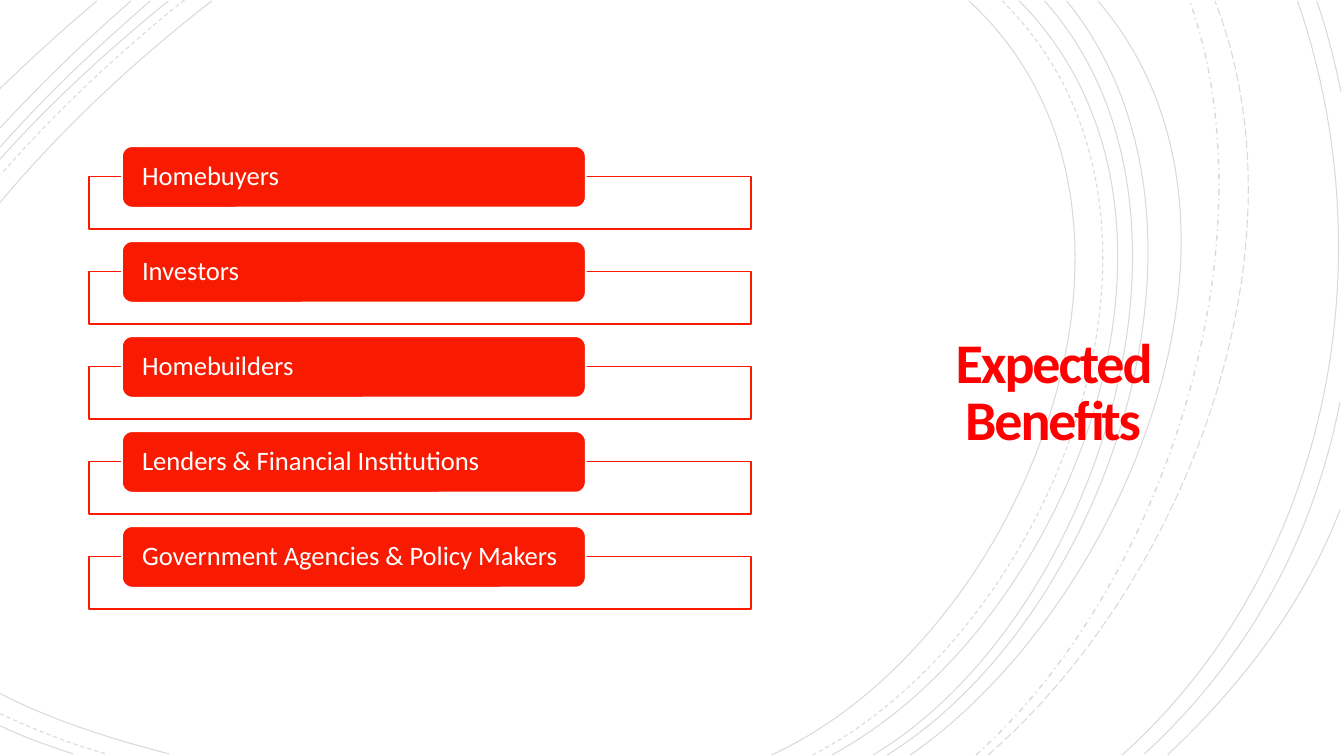
import pptx
import pptx.dml.color
import pptx.enum.dml
import pptx.enum.shapes
import pptx.enum.text
import pptx.oxml
import pptx.oxml.ns
import pptx.util

WIDE, HIGH = 13.33, 7.5
TITLE = "Expected Benefits"
GROUPS = ["Homebuyers", "Investors", "Homebuilders",
          "Lenders & Financial Institutions",
          "Government Agencies & Policy Makers"]
RED, PURE, WHITE, BLACK = "F81B02", "FF0000", "FFFFFF", "000000"
FONT = "Calibri"

# Row grid in inches: the first row's top, the step, then the two parts
TOP, STEP = 1.45, 0.9425
FRAME = dict(left=0.88, drop=0.3, width=6.57, height=0.52)
LABEL = dict(left=1.21, drop=0, width=4.6, height=0.61)

# Curves by dash style: start, two control points, end
CURVES = {
    "SOLID": [
        [(7.65, 7.49), (10.15, 6.35), (11.87, 2.09), (9.61, 0.01)],
        [(0, 6.88), (0.52, 7.15), (1.13, 7.34), (1.68, 7.48)],
        [(2.1, 0.01), (1.34, 0.6), (0.62, 1.27), (0, 2.01)],
        [(8.25, 7.49), (10.61, 6.22), (12.21, 2.13), (10.11, 0.01)],
        [(0, 7.2), (0.23, 7.31), (0.48, 7.4), (0.73, 7.48)],
        [(1.67, 0.01), (1.08, 0.49), (0.51, 1.01), (0, 1.58)],
        [(8.66, 7.49), (10.87, 6.16), (12.21, 2.08), (10.36, 0.01)],
        [(1.49, 0.01), (0.97, 0.46), (0.46, 0.94), (0, 1.46)],
        [(8.8, 7.49), (11, 6.12), (12.33, 2.16), (10.58, 0.01)],
        [(1.3, 0.01), (0.84, 0.41), (0.41, 0.83), (0, 1.27)],
        [(9.03, 7.49), (11.13, 6.03), (12.77, 2.2), (10.89, 0.01)],
        [(0.96, 0.01), (0.63, 0.29), (0.31, 0.58), (0, 0.88)],
        [(11.13, 7.49), (13.19, 5.64), (13.76, 2.59), (12.87, 0.01)],
        [(11.35, 7.48), (12.38, 6.53), (13.02, 5.36), (13.29, 3.99)],
        [(13.3, 0.91), (13.24, 0.61), (13.16, 0.3), (13.06, 0.01)],
        [(11.58, 7.49), (12.31, 6.8), (12.93, 6), (13.29, 5.06)],
    ],
    "DASH": [
        [(8.06, 7.49), (10.46, 6.25), (12.08, 2.12), (9.94, 0.01)],
        [(0, 7.08), (0.34, 7.24), (0.7, 7.38), (1.05, 7.48)],
        [(1.83, 0), (1.18, 0.52), (0.56, 1.1), (0.01, 1.73)],
    ],
    "DASH_DOT": [
        [(9.68, 7.49), (11.54, 5.83), (12.65, 2.41), (11.8, 0.01)],
    ],
    "LONG_DASH": [
        [(9.8, 7.49), (11.73, 5.81), (13.02, 2.51), (12.05, 0.01)],
    ],
}


def inch(*vals):
    """Turn inches into a list of lengths."""
    return [pptx.util.Inches(val) for val in vals]


def tint(text):
    """Make a colour from a hex string."""
    return pptx.dml.color.RGBColor.from_string(text)


def fade(shape, share):
    """Set the opacity, in percent, of the first colour of a shape."""
    color = next(shape.element.iter(pptx.oxml.ns.qn("a:srgbClr")))
    alpha = pptx.oxml.parse_xml(
        "<a:alpha %s/>" % pptx.oxml.ns.nsdecls("a"))
    alpha.set("val", str(share * 1000))
    color.append(alpha)


def edge(shape, color, width):
    """Give a shape its outline and take away its shadow."""
    shape.shadow.inherit = False
    shape.line.color.rgb = tint(color)
    shape.line.width = pptx.util.Pt(width)


def write(shape, text, size, color, align, lead, pad, bold=False, track=0):
    """Put formatted text, centred in height, into a shape."""
    frame = shape.text_frame
    frame.word_wrap = True
    frame.auto_size = pptx.enum.text.MSO_AUTO_SIZE.NONE
    frame.vertical_anchor = pptx.enum.text.MSO_ANCHOR.MIDDLE
    side, ends = inch(*pad)
    frame.margin_left = frame.margin_right = side
    frame.margin_top = frame.margin_bottom = ends
    para = frame.paragraphs[0]
    para.alignment = getattr(pptx.enum.text.PP_ALIGN, align)
    para.line_spacing = lead
    run = para.add_run()
    run.text = text
    run.font.name = FONT
    run.font.size = pptx.util.Pt(size)
    run.font.bold = bold
    run.font.color.rgb = tint(color)
    if track:
        run.font._element.set("spc", str(round(track * 100)))


def curve(slide, points, dash):
    """Draw one faint cubic curve through its control points."""
    first, *rest = [inch(*point) for point in points]
    pen = slide.shapes.build_freeform(*first)
    pen.add_line_segments(rest, close=False)
    shape = pen.convert_to_shape()
    legs = list(shape.element.iter(pptx.oxml.ns.qn("a:lnTo")))
    bend = pptx.oxml.parse_xml(
        "<a:cubicBezTo %s/>" % pptx.oxml.ns.nsdecls("a"))
    legs[0].addprevious(bend)
    for leg in legs:
        bend.append(leg[0])
        leg.getparent().remove(leg)
    shape.fill.background()
    edge(shape, BLACK, 1 if dash == "DASH_DOT" else 0.75)
    shape.line.dash_style = getattr(pptx.enum.dml.MSO_LINE, dash)
    fade(shape, 15)


def box(slide, kind, top, fill, line, left, drop, width, height):
    """Add one filled and outlined part of a row."""
    shape = slide.shapes.add_shape(
        getattr(pptx.enum.shapes.MSO_SHAPE, kind),
        *inch(left, top + drop, width, height))
    shape.fill.solid()
    shape.fill.fore_color.rgb = tint(fill)
    edge(shape, line, 1.25)
    return shape


def head(slide):
    """Place the title at the right, in front of the curves."""
    title = slide.shapes.title
    title.left, title.top, title.width, title.height = inch(
        8.53, 2.57, 3.83, 2.69)
    write(title, TITLE, size=40, color=PURE, align="CENTER", lead=0.85,
          pad=(0.25, 0.25), bold=True, track=-1.5)
    slide.shapes._spTree.append(title.element)


def build():
    """Build the slide and save it."""
    deck = pptx.Presentation()
    deck.slide_width, deck.slide_height = inch(WIDE, HIGH)
    slide = deck.slides.add_slide(deck.slide_layouts[5])
    slide.background.fill.solid()
    slide.background.fill.fore_color.rgb = tint(WHITE)
    for dash, group in CURVES.items():
        for points in group:
            curve(slide, points, dash)
    head(slide)
    for row, name in enumerate(GROUPS):
        top = TOP + row * STEP
        fade(box(slide, "RECTANGLE", top, WHITE, RED, **FRAME), 90)
        label = box(slide, "ROUNDED_RECTANGLE", top, RED, WHITE, **LABEL)
        write(label, name, size=19, color=WHITE, align="LEFT", lead=0.9,
              pad=(0.17, 0))
    deck.save("out.pptx")


build()
